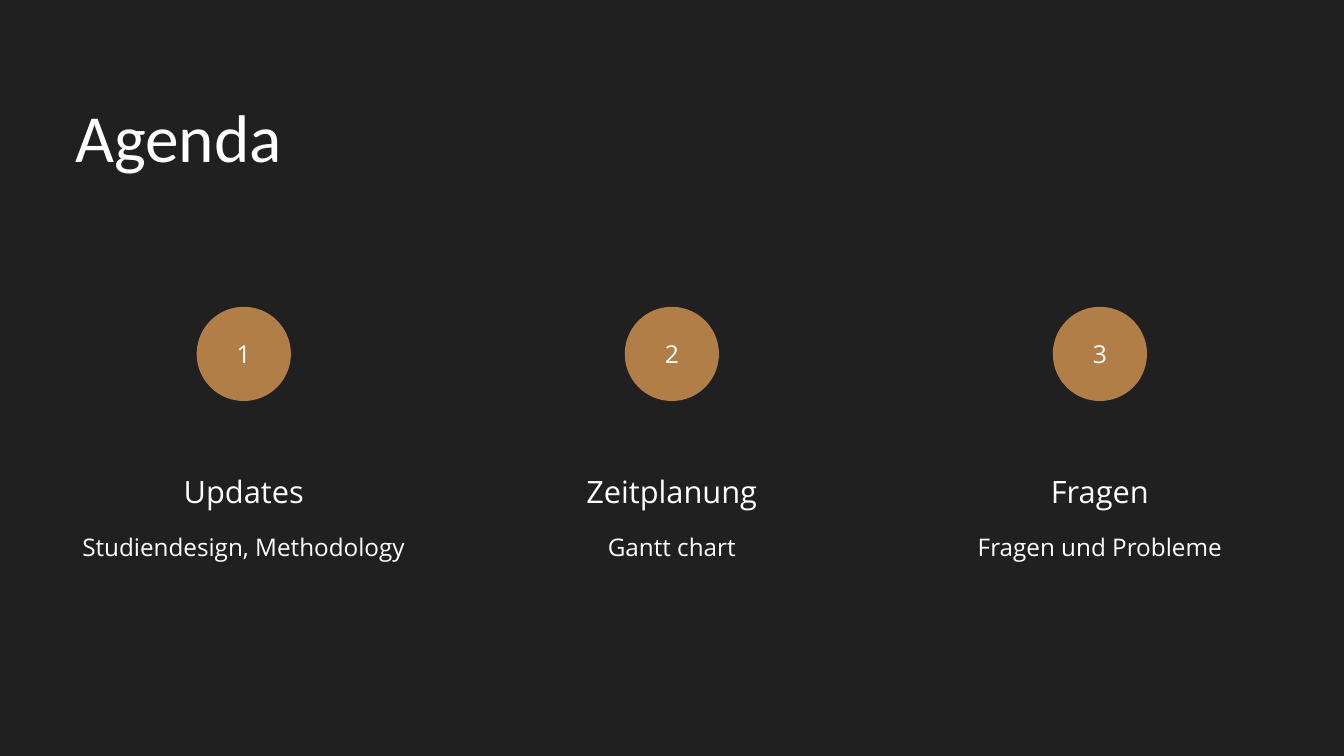
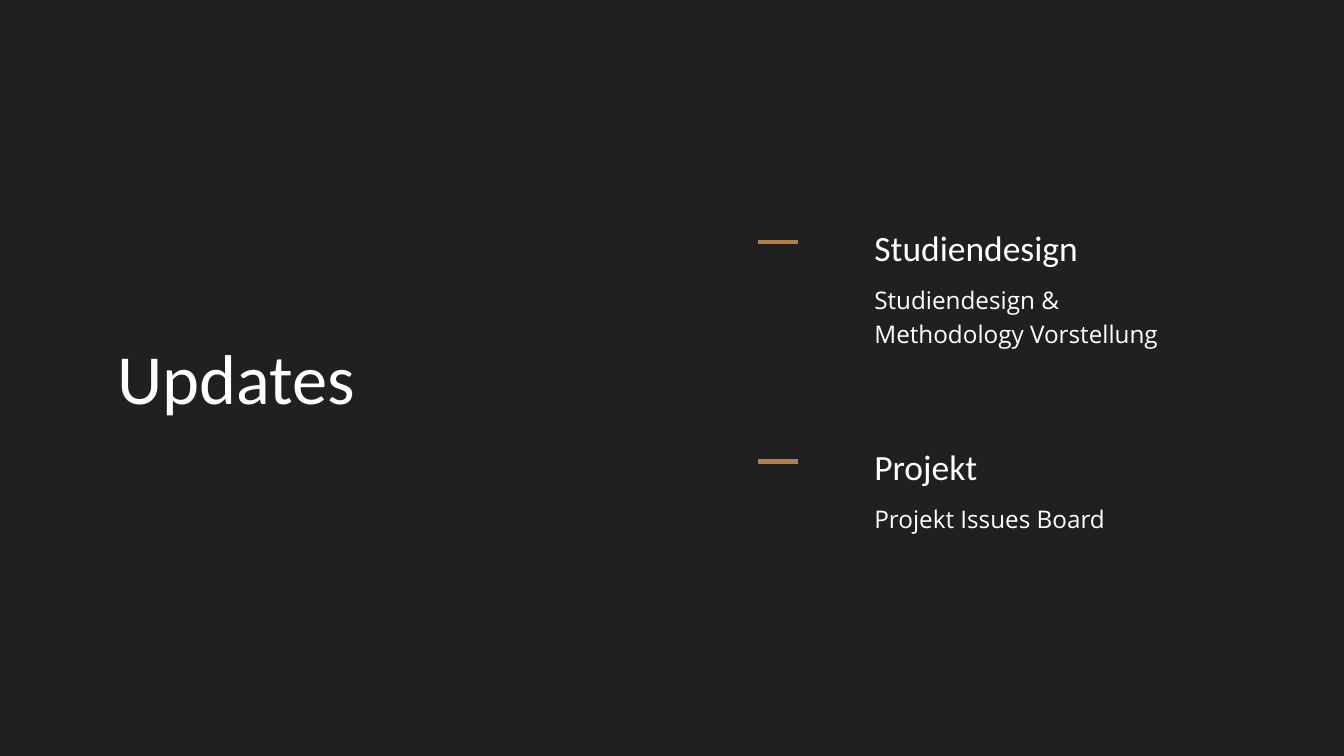
"""Build a dark two-slide deck: an agenda and a list of updates."""
from lxml.etree import SubElement
from pptx import Presentation
from pptx.dml.color import RGBColor
from pptx.enum.shapes import MSO_CONNECTOR, MSO_SHAPE
from pptx.enum.text import MSO_ANCHOR, MSO_AUTO_SIZE, PP_ALIGN
from pptx.oxml.ns import qn
from pptx.util import Cm, Pt

DARK, GOLD, WHITE = "202020", "B27E48", "FFFFFF"
HEAD, BODY = "Calibri", "Open Sans"
LEFT, MID = PP_ALIGN.LEFT, PP_ALIGN.CENTER
FRAME = {
    "margin_left": 0, "margin_top": 0, "margin_right": 0, "margin_bottom": 0,
    "word_wrap": True, "auto_size": MSO_AUTO_SIZE.SHAPE_TO_FIT_TEXT,
    "vertical_anchor": MSO_ANCHOR.TOP,
}
BADGE = {"auto_size": MSO_AUTO_SIZE.NONE, "vertical_anchor": MSO_ANCHOR.MIDDLE}
STEPS = [
    ("Updates", "Studiendesign, Methodology"),
    ("Zeitplanung", "Gantt chart"),
    ("Fragen", "Fragen und Probleme"),
]
NEWS = [
    ("Studiendesign", "Studiendesign & Methodology Vorstellung", 2),
    ("Projekt", "Projekt Issues Board", 1),
]
COL_W = 12.75


def paint(color, code):
    """Give a colour format the value of a hex string."""
    color.rgb = RGBColor.from_string(code)


def fill(item, code):
    """Fill a shape or background with one solid colour."""
    item.fill.solid()
    paint(item.fill.fore_color, code)


def apply(item, values):
    """Set attributes from a dict of format values."""
    for name, value in values.items():
        setattr(item, name, value)


def write(shape, text, font, size, lead, align=LEFT, **frame):
    """Put one formatted paragraph into a shape."""
    apply(shape.text_frame, {**FRAME, **frame})
    para = shape.text_frame.paragraphs[0]
    apply(para, {"alignment": align, "line_spacing": Pt(lead)})
    run = para.add_run()
    run.text = text
    apply(run.font, {"name": font, "size": Pt(size)})
    paint(run.font.color, WHITE)


def add_text(slide, box, *style):
    """Add a text box at left, top, width and height in cm."""
    write(slide.shapes.add_textbox(*map(Cm, box)), *style)


def add_slide(deck, title, box, size, lead):
    """Add a title-only slide with its title placed."""
    slide = deck.slides.add_slide(deck.slide_layouts[5])
    shape = slide.shapes.title
    apply(shape, dict(zip(("left", "top", "width", "height"), map(Cm, box))))
    write(shape, title, HEAD, size, lead)
    return slide


def add_badge(slide, num, mid):
    """Add a numbered disc centred on a column."""
    size = 3.56
    disc = slide.shapes.add_shape(
        MSO_SHAPE.OVAL, *map(Cm, (mid - size / 2, 11.6, size, size)))
    disc.shadow.inherit = False
    fill(disc, GOLD)
    disc.line.fill.background()
    write(disc, str(num), BODY, 26.4, 31.7, MID, **BADGE)


def add_step(slide, num, left, head, note):
    """Add one agenda column."""
    add_badge(slide, num, left + COL_W / 2)
    add_text(slide, (left, 17.65, COL_W, 1.57), head, BODY, 33, 46.2, MID)
    add_text(slide, (left, 19.94, COL_W, 1.25), note, BODY, 26, 36.4, MID)


def add_dash(slide, left, top):
    """Add a short accent line."""
    ends = map(Cm, (left, top, left + 1.53, top))
    dash = slide.shapes.add_connector(MSO_CONNECTOR.STRAIGHT, *ends)
    dash.line.width = Pt(5.25)
    paint(dash.line.color, GOLD)
    SubElement(dash.element.spPr, qn("a:effectLst"))


def add_news(slide, top, head, note, rows):
    """Add one update with its dash, heading and note."""
    left = 33.05
    add_dash(slide, 28.65, top + 0.89)
    add_text(slide, (left, top, COL_W, 1.8), head, HEAD, 38, 53.2)
    add_text(slide, (left, top + 2.33, COL_W, 1.25 * rows),
             note, BODY, 26, 36.4)


def main():
    """Build and save the deck."""
    deck = Presentation()
    apply(deck, {"slide_width": Cm(50.8), "slide_height": Cm(28.58)})
    fill(deck.slide_master.background, DARK)

    agenda = add_slide(deck, "Agenda", (2.84, 3.84, 33.27, 2.84), 72.2, 79.5)
    for num, step in enumerate(STEPS):
        add_step(agenda, num + 1, 2.84 + 16.18 * num, *step)

    updates = add_slide(deck, "Updates", (4.45, 12.88, 17.2, 3), 75.5, 83)
    for num, news in enumerate(NEWS):
        add_news(updates, 8.26 + 8.28 * num, *news)

    deck.save("out.pptx")


if __name__ == "__main__":
    main()
